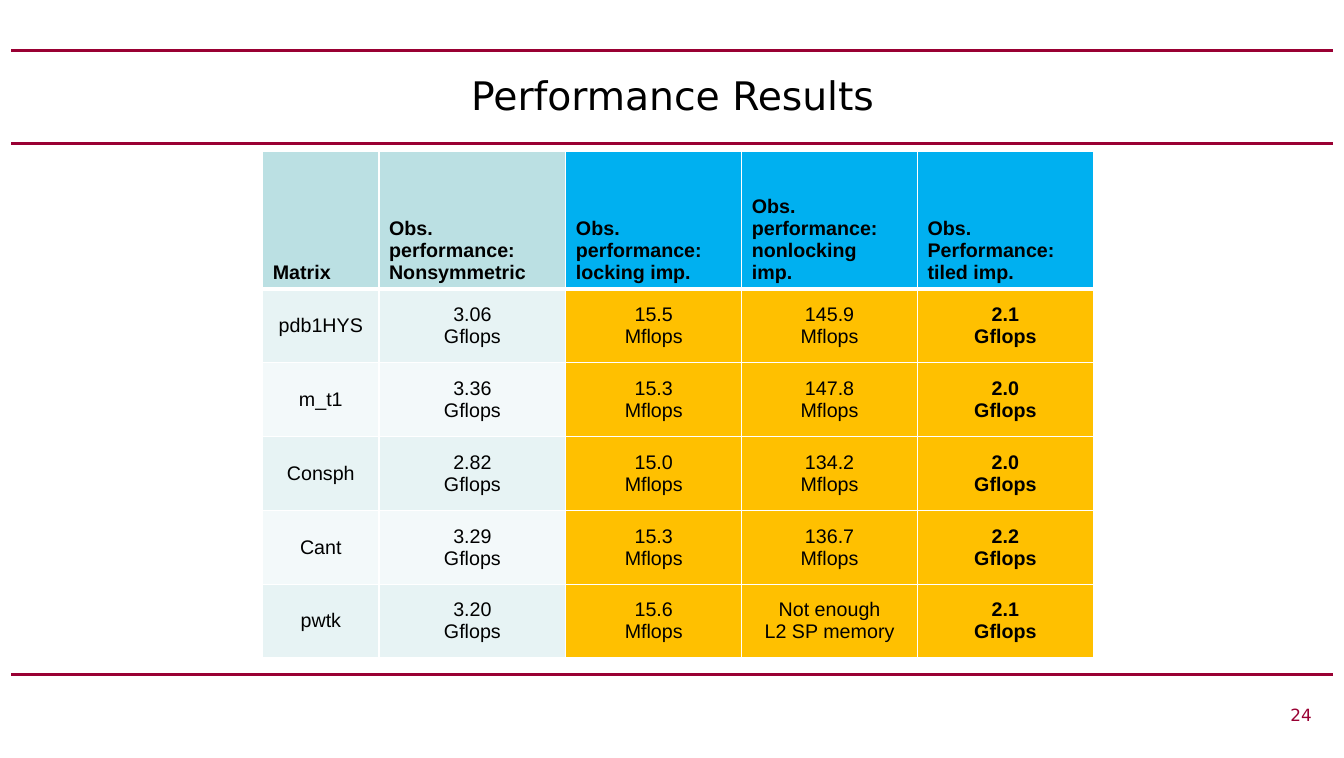
from lxml import etree
from pptx import Presentation
from pptx.dml.color import RGBColor
from pptx.enum.shapes import MSO_CONNECTOR
from pptx.enum.text import MSO_ANCHOR, PP_ALIGN
from pptx.oxml.ns import qn
from pptx.util import Inches, Pt

STRAIGHT = MSO_CONNECTOR.STRAIGHT
MIDDLE, BOTTOM = MSO_ANCHOR.MIDDLE, MSO_ANCHOR.BOTTOM
LEFT, CENTER, RIGHT = PP_ALIGN.LEFT, PP_ALIGN.CENTER, PP_ALIGN.RIGHT

BLACK = RGBColor(0x00, 0x00, 0x00)
WHITE = RGBColor(0xFF, 0xFF, 0xFF)
CRIMSON = RGBColor(0x99, 0x00, 0x33)
TEAL = RGBColor(0xBB, 0xE0, 0xE3)
BLUE = RGBColor(0x00, 0xB0, 0xF0)
AMBER = RGBColor(0xFF, 0xC0, 0x00)
BANDS = [RGBColor(0xE7, 0xF3, 0xF4), RGBColor(0xF3, 0xF9, 0xFA)]

HEADINGS = [
    "Matrix",
    "Obs.\nperformance:\nNonsymmetric",
    "Obs.\nperformance:\nlocking imp.",
    "Obs.\nperformance:\nnonlocking\nimp.",
    "Obs.\nPerformance:\ntiled imp.",
]
RESULTS = [
    ["pdb1HYS", "3.06\nGflops", "15.5\nMflops", "145.9\nMflops", "2.1\nGflops"],
    ["m_t1", "3.36\nGflops", "15.3\nMflops", "147.8\nMflops", "2.0\nGflops"],
    ["Consph", "2.82\nGflops", "15.0\nMflops", "134.2\nMflops", "2.0\nGflops"],
    ["Cant", "3.29\nGflops", "15.3\nMflops", "136.7\nMflops", "2.2\nGflops"],
    ["pwtk", "3.20\nGflops", "15.6\nMflops", "Not enough\nL2 SP memory", "2.1\nGflops"],
]
COLUMN_WIDTHS = [1.15, 1.85, 1.74, 1.74, 1.74]
ROW_HEIGHTS = [1.36] + [0.73] * len(RESULTS)
TILED_COLUMN = len(HEADINGS) - 1


def set_font(para, name, size, color, bold=False):
    font = para.font
    font.name, font.size, font.bold = name, Pt(size), bold
    font.color.rgb = color


def add_borders(cell, top, bottom):
    """Draw white cell borders; top and bottom are widths in points."""
    properties = cell._tc.get_or_add_tcPr()
    for side, width in (("L", 1), ("R", 1), ("T", top), ("B", bottom)):
        line = etree.SubElement(properties, qn(f"a:ln{side}"), w=str(Pt(width)))
        fill = etree.SubElement(line, qn("a:solidFill"))
        etree.SubElement(fill, qn("a:srgbClr"), val=str(WHITE))


deck = Presentation()
deck.slide_width, deck.slide_height = Inches(13.3), Inches(7.5)
page = deck.slides.add_slide(deck.slide_layouts[5])

# Horizontal rules
for y in (6.67, 1.42, 0.5):
    rule = page.shapes.add_connector(
        STRAIGHT, Inches(0.11), Inches(y), Inches(13.19), Inches(y))
    rule.line.color.rgb = CRIMSON
    rule.line.width = Pt(2.25)
    etree.SubElement(rule._element.spPr, qn("a:effectLst"))

# Title
title = page.shapes.title
title.left, title.top = Inches(0.67), Inches(0.5)
title.width, title.height = Inches(11.97), Inches(0.87)
title.text_frame.text = "Performance Results"
title.text_frame.vertical_anchor = MIDDLE
para = title.text_frame.paragraphs[0]
para.alignment = CENTER
set_font(para, "DejaVu Sans", 28, BLACK)

# Page number
number_box = page.shapes.add_textbox(
    Inches(3.77), Inches(6.92), Inches(9.31), Inches(0.33))
number_box.text_frame.word_wrap = True
para = number_box.text_frame.paragraphs[0]
para.text = "24"
para.alignment = RIGHT
set_font(para, "DejaVu Sans", 12, CRIMSON)

# Results table
table = page.shapes.add_table(
    len(ROW_HEIGHTS), len(COLUMN_WIDTHS), Inches(2.6), Inches(1.5),
    Inches(sum(COLUMN_WIDTHS)), Inches(sum(ROW_HEIGHTS))).table
table.horz_banding = False
for column, width in zip(table.columns, COLUMN_WIDTHS):
    column.width = Inches(width)
for row, height in zip(table.rows, ROW_HEIGHTS):
    row.height = Inches(height)

for r, texts in enumerate([HEADINGS] + RESULTS):
    is_header = r == 0
    for c, text in enumerate(texts):
        cell = table.cell(r, c)
        cell.text = text
        cell.vertical_anchor = BOTTOM if is_header else MIDDLE
        add_borders(cell, top=3 if r == 1 else 1, bottom=3 if is_header else 1)
        cell.fill.solid()
        if c < 2:
            cell.fill.fore_color.rgb = TEAL if is_header else BANDS[(r - 1) % 2]
        else:
            cell.fill.fore_color.rgb = BLUE if is_header else AMBER
        for para in cell.text_frame.paragraphs:
            para.alignment = LEFT if is_header else CENTER
            set_font(para, "Arial", 14, BLACK, bold=is_header or c == TILED_COLUMN)

deck.save("out.pptx")
